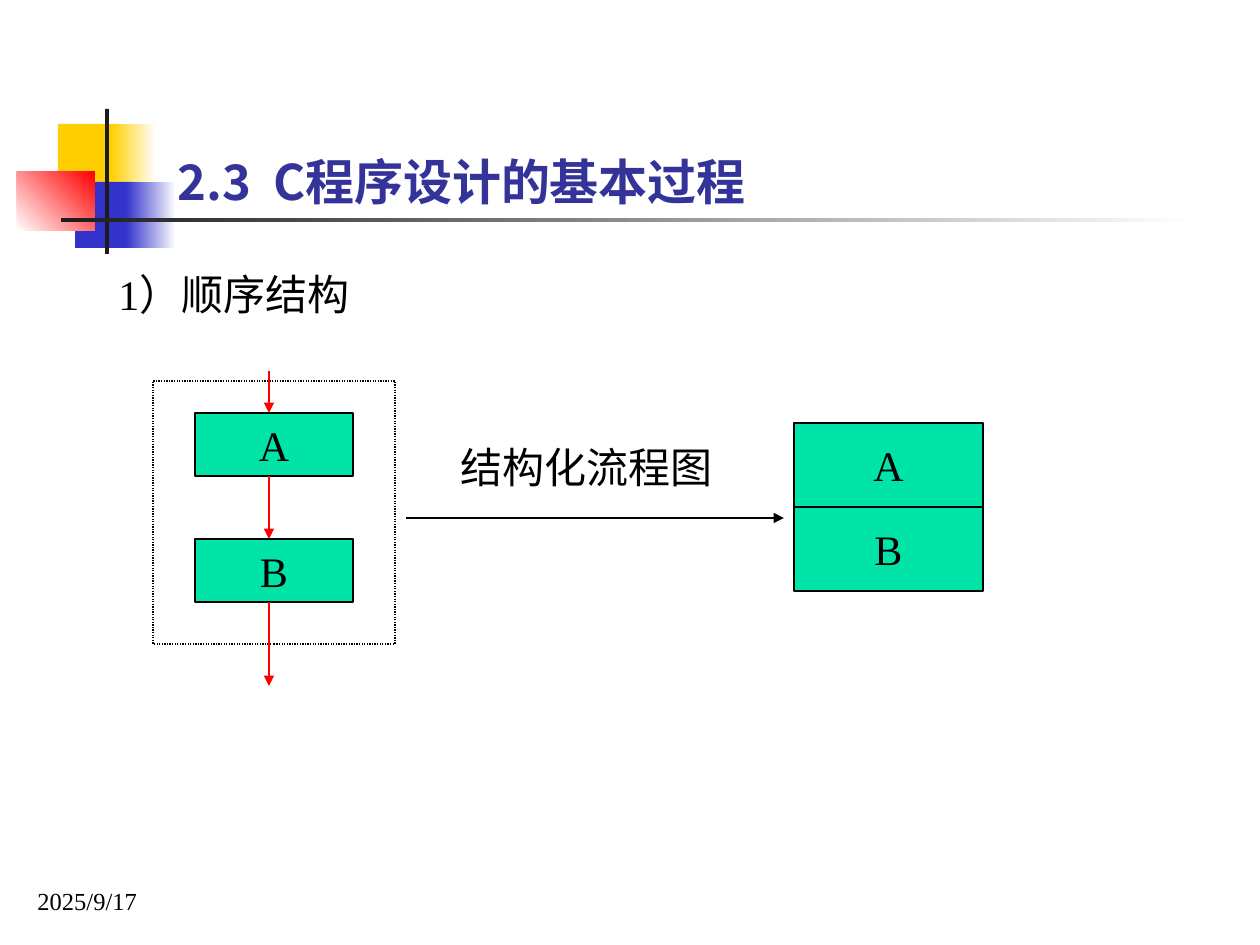
import pptx
import pptx.util
import pptx.dml.color
import pptx.enum.dml
import pptx.enum.shapes
import pptx.enum.text
import pptx.oxml.ns
import lxml.etree

PX = 914400 / 126  # EMU per px
COLORS = {
    "white": "FFFFFF", "black": "000000", "ink": "1C1C1C", "yellow": "FFCF01",
    "blue": "3333CC", "red": "FF0000", "green": "00E4A8", "title": "333399",
}
SERIF = "Times New Roman"
SANS = "Noto Sans CJK SC"
ANCHOR = pptx.enum.text.MSO_ANCHOR
ALIGN = pptx.enum.text.PP_ALIGN


def px(n):
    return pptx.util.Emu(round(n * PX))


def rgb(name):
    return pptx.dml.color.RGBColor.from_string(COLORS[name])


def add_xml(parent, tag, **attrs):
    return lxml.etree.SubElement(parent, pptx.oxml.ns.qn(tag), attrs)


def write(sp, text, size=24, font=SERIF, color="black", bold=False,
          align=ALIGN.LEFT, anchor=ANCHOR.TOP, wrap=True):
    tf = sp.text_frame
    tf.word_wrap = wrap
    tf.vertical_anchor = anchor
    p = tf.paragraphs[0]
    p.alignment = align
    r = p.add_run()
    r.text = text
    r.font.size = pptx.util.Pt(size)
    r.font.name = font
    r.font.bold = bold
    r.font.color.rgb = rgb(color)
    add_xml(r.font._element, "a:ea", typeface=SANS)  # East Asian glyphs


def textbox(s, x, y, w, h, text, **fmt):
    write(s.shapes.add_textbox(px(x), px(y), px(w), px(h)), text, **fmt)


def rect(s, x, y, w, h, fill, fade=None, angle=0, line=None, dash=None):
    """Rectangle, plain or with a gradient from fill to fade."""
    sp = s.shapes.add_shape(pptx.enum.shapes.MSO_SHAPE.RECTANGLE,
                            px(x), px(y), px(w), px(h))
    sp.shadow.inherit = False
    if fade:
        sp.fill.gradient()
        sp.fill.gradient_angle = angle
        for stop, name, pos in zip(sp.fill.gradient_stops, (fill, fade), (0, 1)):
            stop.color.rgb = rgb(name)
            stop.position = pos
    else:
        sp.fill.solid()
        sp.fill.fore_color.rgb = rgb(fill)
    if line:
        sp.line.color.rgb = rgb(line)
        sp.line.width = pptx.util.Pt(0.75)
        if dash:
            sp.line.dash_style = dash
    else:
        sp.line.fill.background()
    return sp


def block(s, x, y, w, h, label):
    sp = rect(s, x, y, w, h, "green", line="black")
    write(sp, label, align=ALIGN.CENTER, anchor=ANCHOR.MIDDLE, wrap=False)


def arrow(s, x1, y1, x2, y2, color):
    c = s.shapes.add_connector(pptx.enum.shapes.MSO_CONNECTOR.STRAIGHT,
                               px(x1), px(y1), px(x2), px(y2))
    c.line.color.rgb = rgb(color)
    c.line.width = pptx.util.Pt(0.75)
    add_xml(c.line._get_or_add_ln(), "a:tailEnd", type="triangle")
    add_xml(c._element.spPr, "a:effectLst")


def ornament(s, x, y):
    """Coloured squares crossed by a vertical bar and a fading rule."""
    rect(s, x + 41, y + 15, 60, 66, "yellow")
    rect(s, x + 94, y + 15, 45, 66, "yellow", fade="white")
    rect(s, x + 58, y + 73, 58, 66, "blue")
    rect(s, x + 109, y + 73, 50, 66, "blue", fade="white")
    rect(s, x, y + 63, 78, 59, "white", fade="red", angle=45)
    rect(s, x + 88, y, 4, 145, "ink")
    rect(s, x + 44, y + 109, 1134, 4, "ink", fade="white")


def flowchart(s, x, y, w, h, labels):
    """Dotted frame with steps joined by red arrows."""
    rect(s, x, y, w, h, "white", line="black",
         dash=pptx.enum.dml.MSO_LINE.ROUND_DOT)
    step_h, pitch, first = 63, 126, y + 32
    axis = x + 116
    start = y - 10
    for i, label in enumerate(labels):
        top = first + i * pitch
        arrow(s, axis, start, axis, top, "red")
        block(s, x + 42, top, 158, step_h, label)
        start = top + step_h
    arrow(s, axis, start, axis, y + h + 42, "red")


def structured_chart(s, x, y, w, h, labels):
    """Stacked equal blocks."""
    row = h / len(labels)
    for i, label in enumerate(labels):
        block(s, x, y + i * row, w, row, label)


def transition(s, x, y, w, h, label):
    """Caption above a long arrow."""
    textbox(s, x + 42, y, 305, 63, label)
    arrow(s, x, y + h, x + w, y + h, "black")


def main():
    prs = pptx.Presentation()
    prs.slide_width, prs.slide_height = px(1260), px(945)
    s = prs.slides.add_slide(prs.slide_layouts[6])
    steps = ["A", "B"]

    ornament(s, 17, 109)
    # Date
    textbox(s, 25, 859, 159, 63, "2025/9/17", size=14, anchor=ANCHOR.BOTTOM)
    # Diagrams
    structured_chart(s, 794, 423, 189, 168, steps)
    transition(s, 406, 435, 378, 83, "结构化流程图")
    flowchart(s, 153, 381, 242, 263, steps)
    # Headings
    textbox(s, 106, 262, 577, 63, "1）顺序结构")
    textbox(s, 165, 145, 622, 72, "2.3  C程序设计的基本过程",
            size=28, font=SANS, color="title", bold=True)
    prs.save("out.pptx")


if __name__ == "__main__":
    main()
